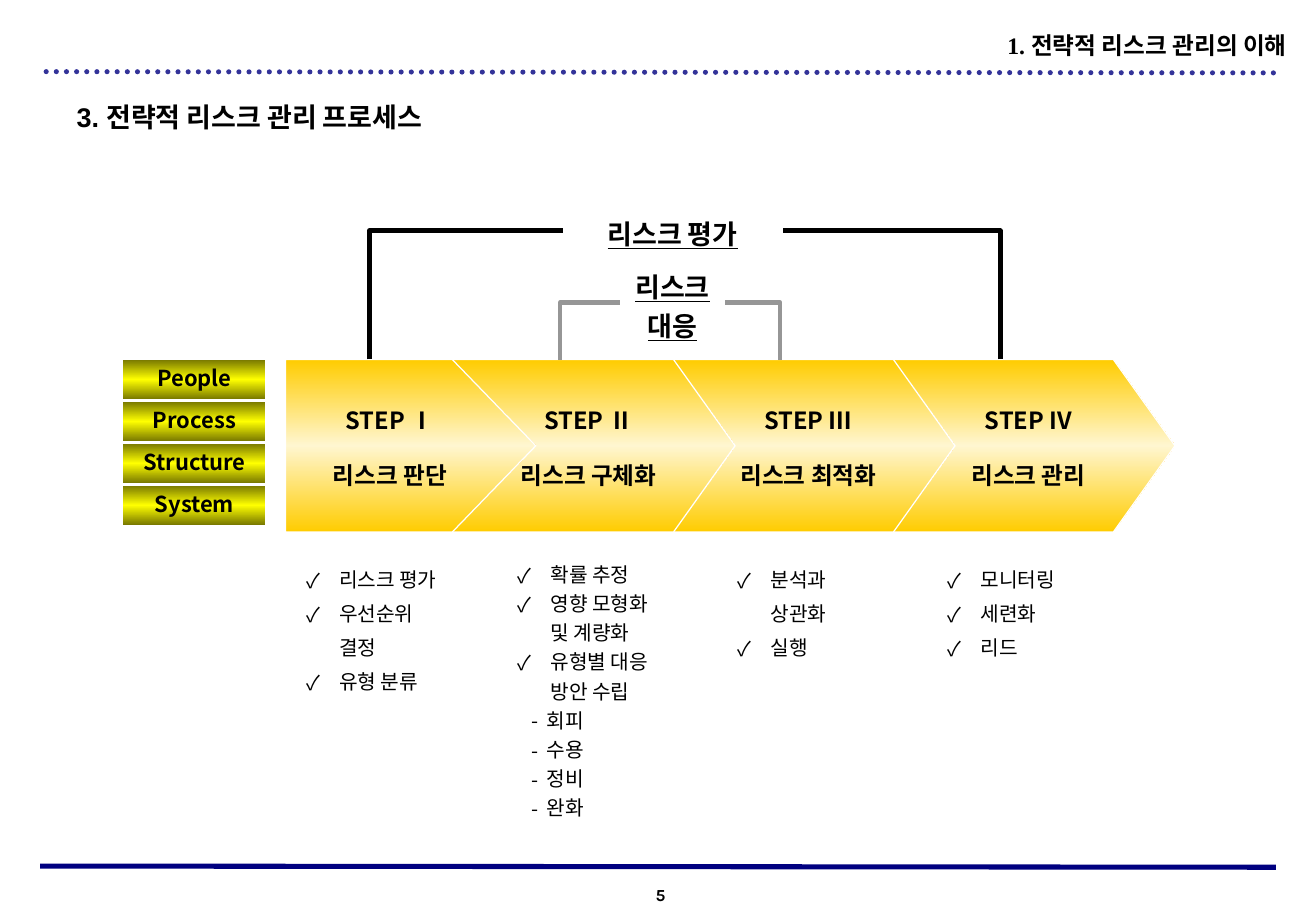
from dataclasses import dataclass

from lxml import etree
from pptx import Presentation
from pptx.dml.color import RGBColor
from pptx.enum.dml import MSO_LINE
from pptx.enum.shapes import MSO_CONNECTOR, MSO_SHAPE
from pptx.enum.text import MSO_ANCHOR, MSO_AUTO_SIZE, PP_ALIGN
from pptx.oxml.ns import qn
from pptx.util import Inches, Pt

LEFT, CENTER, RIGHT = PP_ALIGN.LEFT, PP_ALIGN.CENTER, PP_ALIGN.RIGHT
TOP, MIDDLE = MSO_ANCHOR.TOP, MSO_ANCHOR.MIDDLE
PENTAGON, RECTANGLE = MSO_SHAPE.PENTAGON, MSO_SHAPE.RECTANGLE
STRAIGHT = MSO_CONNECTOR.STRAIGHT
ROUND_DOT = MSO_LINE.ROUND_DOT
NO_AUTOFIT = MSO_AUTO_SIZE.NONE


@dataclass(frozen=True)
class Theme:
    ink: str = "000000"
    white: str = "FFFFFF"
    footer_rule: str = "000080"
    header_rule: str = "333399"
    gray: str = "969696"
    step_fill: tuple = ("FFCC00", "FFF6D0", "FFCC00")
    factor_fill: tuple = ("767600", "FFFF00", "767600")
    face: str = "Noto Sans CJK KR"
    title_face: str = "Arial"
    header_face: str = "Times New Roman"
    page_face: str = "Karla"
    title_size: int = 16
    step_size: int = 14
    factor_size: int = 13
    list_size: int = 12
    page_size: int = 10


THEME = Theme()

HEADER = "1. 전략적 리스크 관리의 이해"
TITLE = "3. 전략적 리스크 관리 프로세스"
PAGE_NUMBER = "5"
FACTORS = ["People", "Process", "Structure", "System"]
STEPS = [
    ("STEP Ⅰ", "리스크 판단"),
    ("STEP Ⅱ", "리스크 구체화"),
    ("STEP Ⅲ", "리스크 최적화"),
    ("STEP IV", "리스크 관리"),
]
CHECK, DASH = "✓", "-"
TASKS = [
    (2.42, 1.4, [(CHECK, "리스크 평가"), (CHECK, "우선순위 결정"), (CHECK, "유형 분류")]),
    (4.16, 1.2, [(CHECK, "확률 추정"), (CHECK, "영향 모형화 및 계량화"),
                 (CHECK, "유형별 대응 방안 수립"), (DASH, "회피"), (DASH, "수용"),
                 (DASH, "정비"), (DASH, "완화")]),
    (5.97, 1.4, [(CHECK, "분석과 상관화"), (CHECK, "실행")]),
    (7.7, 1.4, [(CHECK, "모니터링"), (CHECK, "세련화"), (CHECK, "리드")]),
]
INDENTS = {CHECK: (0.27, -0.27), DASH: (0.24, -0.13)}
PHASES = [
    ("리스크 평가", (4.63, 1.7, 1.81, 0.39)),
    ("리스크 대응", (5.1, 2.18, 0.87, 0.63)),
]
STEP_TOP, STEP_HEIGHT = 2.96, 1.42
BRACKETS = [
    (3.04, 4.63, 1.9, THEME.ink, 3),
    (8.23, 6.44, 1.9, THEME.ink, 3),
    (4.61, 5.1, 2.49, THEME.gray, 2.5),
    (6.42, 5.97, 2.49, THEME.gray, 2.5),
]
RULES = [
    ((0.33, 7.13), (10.5, 7.14), THEME.footer_rule, None),
    ((0.38, 0.59), (10.54, 0.6), THEME.header_rule, ROUND_DOT),
]


def color(value):
    return RGBColor.from_string(value)


def place(box, area):
    box.left, box.top, box.width, box.height = map(Inches, area)


def prepare(box, anchor=MIDDLE, wrap=True):
    frame = box.text_frame
    frame.auto_size = NO_AUTOFIT
    frame.word_wrap = wrap
    frame.vertical_anchor = anchor
    return frame


def write(frame, lines, size, face=THEME.face, bold=True, underline=False,
          align=CENTER, spacing=1.0, gap=0):
    for index, text in enumerate(lines):
        para = frame.add_paragraph() if index else frame.paragraphs[0]
        para.alignment = align
        para.line_spacing = spacing
        para.space_before = Pt(gap if index else 0)
        span = para.add_run()
        span.text = text
        font = span.font
        font.name, font.size = face, Pt(size)
        font.bold, font.underline = bold, underline
        font.color.rgb = color(THEME.ink)
        latin = span._r.rPr.find(qn("a:latin"))
        east_asian = etree.Element(qn("a:ea"), typeface=THEME.face)
        latin.addnext(east_asian)


def add_label(slide, text, area, size, wrap=True, **style):
    box = slide.shapes.add_textbox(*map(Inches, area))
    write(prepare(box, wrap=wrap), [text], size, **style)


def add_block(slide, kind, area, shades):
    box = slide.shapes.add_shape(kind, *map(Inches, area))
    box.shadow.inherit = False
    box.fill.gradient()
    box.fill.gradient_angle = 90
    stops = box._element.spPr.find(qn("a:gradFill")).find(qn("a:gsLst"))
    for stop in list(stops):
        stops.remove(stop)
    for position, shade in zip((0, 50000, 100000), shades):
        stop = etree.SubElement(stops, qn("a:gs"), pos=str(position))
        etree.SubElement(stop, qn("a:srgbClr"), val=shade)
    box.line.color.rgb = color(THEME.white)
    box.line.width = Pt(0.75)
    return box


def add_rules(slide):
    for start, end, shade, dash in RULES:
        rule = slide.shapes.add_connector(STRAIGHT, *map(Inches, start + end))
        rule.line.color.rgb = color(shade)
        rule.line.width = Pt(3)
        properties = rule._element.spPr
        if dash:
            rule.line.dash_style = dash
            properties.find(qn("a:ln")).set("cap", "rnd")
        etree.SubElement(properties, qn("a:effectLst"))


def add_steps(slide):
    for index, lines in reversed(list(enumerate(STEPS))):
        left, width, point = (1.88 + 1.81 * index, 2.36, 0.357) if index else (2.35, 2.06, 0.484)
        box = add_block(slide, PENTAGON, (left, STEP_TOP, width, STEP_HEIGHT), THEME.step_fill)
        box.adjustments[0] = point
        frame = prepare(box)
        frame.margin_left = Inches(0.3 if index else 0.1)
        write(frame, lines, THEME.step_size, spacing=1.1, gap=14)


def add_factors(slide):
    for index, name in enumerate(FACTORS):
        area = (1.01, STEP_TOP + 0.345 * index, 1.18, 0.33)
        box = add_block(slide, RECTANGLE, area, THEME.factor_fill)
        write(prepare(box, wrap=False), [name], THEME.factor_size, spacing=0.9)


def fill_tasks(bodies):
    for body, (left, spacing, tasks) in zip(bodies, TASKS):
        place(body, (left, 4.54, 1.34, 2.28))
        frame = prepare(body, TOP)
        write(frame, [text for _, text in tasks], THEME.list_size,
              bold=False, align=LEFT, spacing=spacing)
        for para, (mark, _) in zip(frame.paragraphs, tasks):
            properties = para._p.get_or_add_pPr()
            margin, indent = INDENTS[mark]
            properties.set("marL", str(Inches(margin)))
            properties.set("indent", str(Inches(indent)))
            etree.SubElement(properties, qn("a:buFont"), typeface=THEME.face)
            etree.SubElement(properties, qn("a:buChar"), char=mark)


def add_brackets(slide):
    for outer, inner, top, shade, weight in BRACKETS:
        builder = slide.shapes.build_freeform(Inches(outer), Inches(STEP_TOP))
        corners = [(Inches(outer), Inches(top)), (Inches(inner), Inches(top))]
        builder.add_line_segments(corners, close=False)
        bracket = builder.convert_to_shape()
        bracket.shadow.inherit = False
        bracket.fill.background()
        bracket.line.color.rgb = color(shade)
        bracket.line.width = Pt(weight)


def main():
    deck = Presentation()
    deck.slide_width, deck.slide_height = Inches(10.83), Inches(7.5)
    slide = deck.slides.add_slide(deck.slide_layouts[4])
    title, *bodies = slide.placeholders
    place(title, (0.53, 0.78, 3.71, 0.37))
    write(prepare(title), [TITLE], THEME.title_size, face=THEME.title_face, align=LEFT)
    fill_tasks(bodies)
    add_rules(slide)
    add_label(slide, HEADER, (8.05, 0.21, 2.64, 0.33), THEME.step_size,
              wrap=False, face=THEME.header_face, align=RIGHT)
    add_label(slide, PAGE_NUMBER, (5.01, 7.23, 0.85, 0.27), THEME.page_size,
              face=THEME.page_face)
    add_steps(slide)
    add_factors(slide)
    for text, area in PHASES:
        add_label(slide, text, area, THEME.title_size, underline=True, spacing=1.2)
    add_brackets(slide)
    deck.save("out.pptx")


if __name__ == "__main__":
    main()
